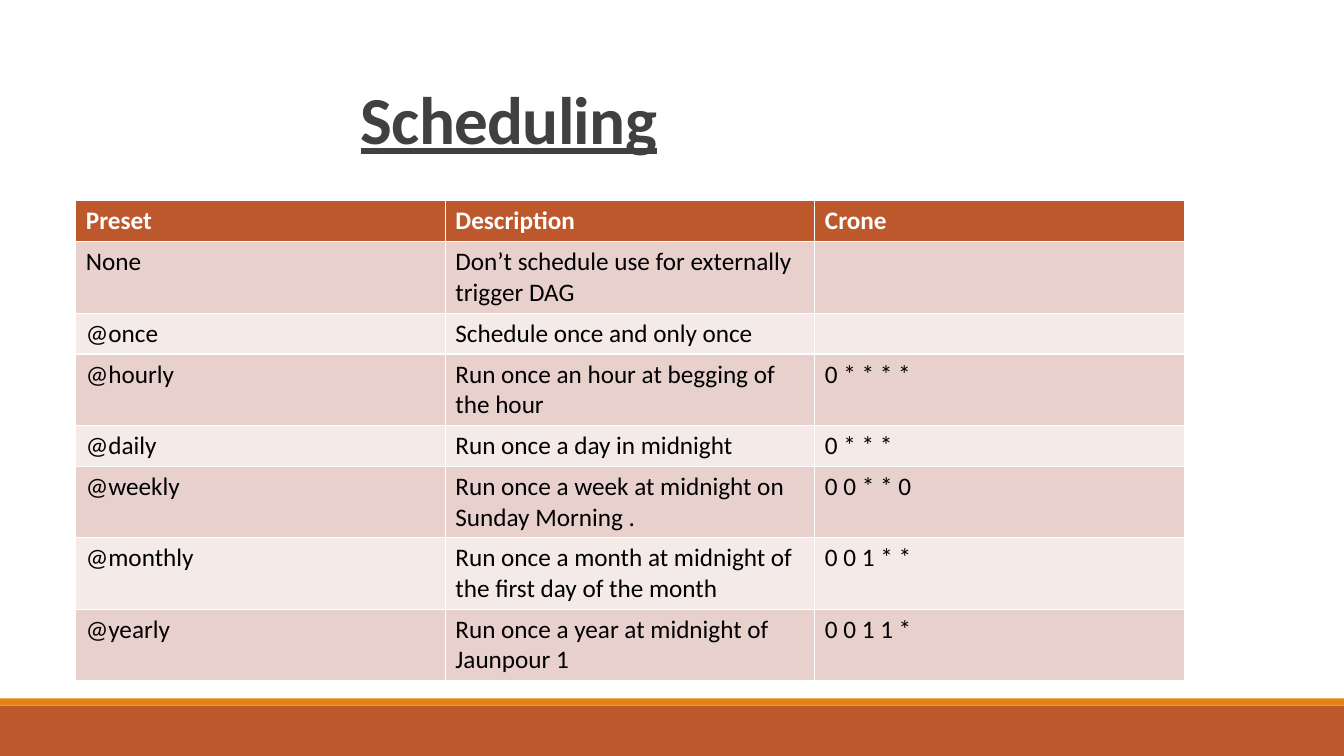
from pptx import Presentation
from pptx.dml.color import RGBColor
from pptx.enum import shapes, text
from pptx.util import Cm, Pt

BRICK, ORANGE, WHITE = "BD582C", "E48312", "FFFFFF"
BANDS = ["E8D1CD", "F4EAE8"]
ROWS = [
    ("Preset", "Description", "Crone"),
    ("None", "Don’t schedule use for externally trigger DAG", ""),
    ("@once", "Schedule once and only once", ""),
    ("@hourly", "Run once an hour at begging of the hour", "0 * * * *"),
    ("@daily", "Run once a day in midnight", "0 * * *"),
    ("@weekly", "Run once a week at midnight on Sunday Morning .", "0 0 * * 0"),
    ("@monthly", "Run once a month at midnight of the first day of the month", "0 0 1 * *"),
    ("@yearly", "Run once a year at midnight of Jaunpour 1", "0 0 1 1 *"),
]


def paint(fill, color):
    """Give a fill one solid colour from a hex string."""
    fill.solid()
    fill.fore_color.rgb = RGBColor.from_string(color)


def style(font, size, color, bold):
    """Set the typeface, size, colour and weight of a font."""
    font.name, font.size, font.bold = "Calibri", Pt(size), bold
    paint(font.fill, color)


presentation = Presentation()
presentation.slide_width, presentation.slide_height = Cm(33.87), Cm(19.05)
slide = presentation.slides.add_slide(presentation.slide_layouts[6])

# Footer bands
for top, height, color in [(17.78, 1.27, BRICK), (17.6, 0.18, ORANGE)]:
    band = slide.shapes.add_shape(
        shapes.MSO_SHAPE.RECTANGLE, 0, Cm(top), presentation.slide_width, Cm(height))
    band.shadow.inherit = False
    paint(band.fill, color)
    band.line.fill.background()

# Title
title = slide.shapes.add_textbox(Cm(8.84), Cm(1.75), Cm(12.52), Cm(2.36))
title.text_frame.word_wrap = True
title.text_frame.vertical_anchor = text.MSO_ANCHOR.BOTTOM
paragraph = title.text_frame.paragraphs[0]
paragraph.line_spacing = 0.85
run = paragraph.add_run()
run.text = "Scheduling"
style(run.font, 48, "404040", True)
run.font.underline = True
run._r.get_or_add_rPr().set("spc", "-50")

# Schedule table: white rules come from the default table style
table = slide.shapes.add_table(
    len(ROWS), 3, Cm(1.91), Cm(5.06), Cm(27.94), Cm(8.24)).table
for row_index, row in enumerate(ROWS):
    header = row_index == 0
    table.rows[row_index].height = Cm(1.03)
    for column_index, words in enumerate(row):
        cell = table.cell(row_index, column_index)
        cell.text = words
        paint(cell.fill, BRICK if header else BANDS[(row_index - 1) % 2])
        style(cell.text_frame.paragraphs[0].font, 18,
              WHITE if header else "000000", header)

# Rows whose description wraps onto a second line
for row_index in (1, 3, 5, 6, 7):
    table.rows[row_index].height = Cm(1.8)

presentation.save("out.pptx")
